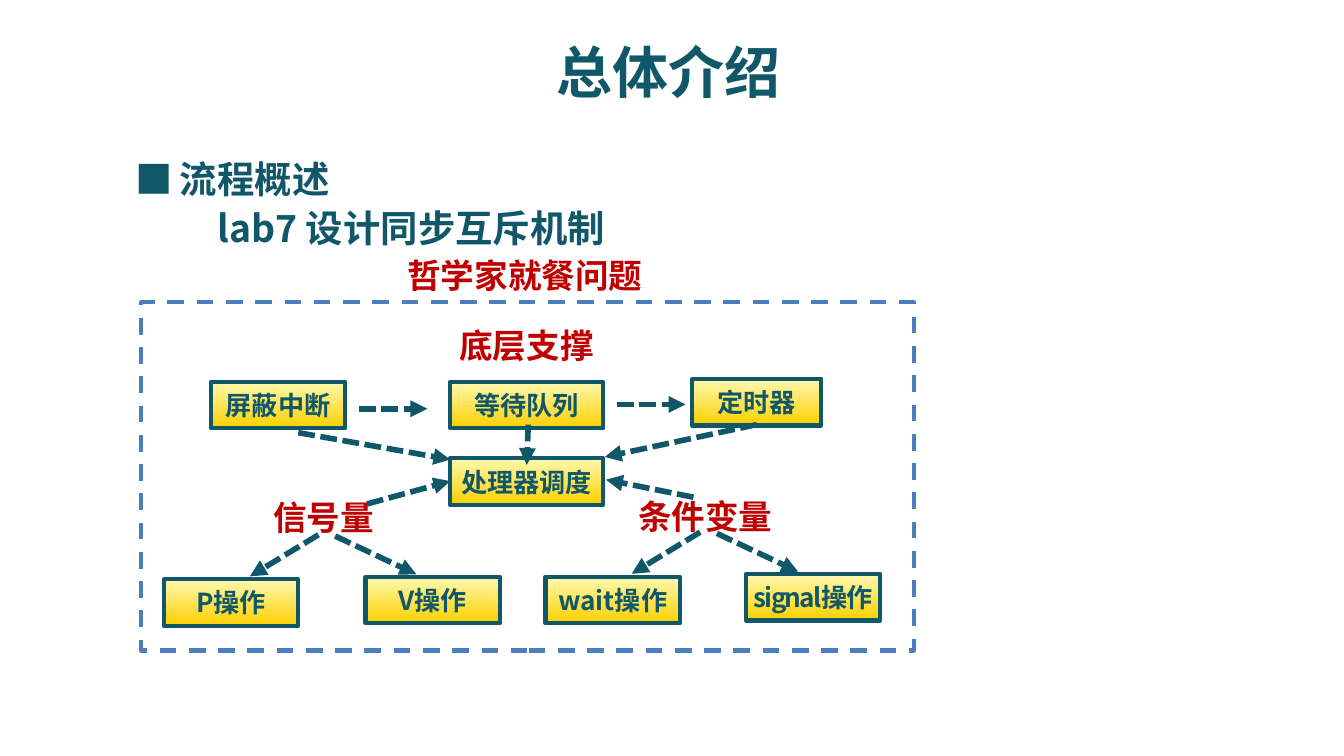
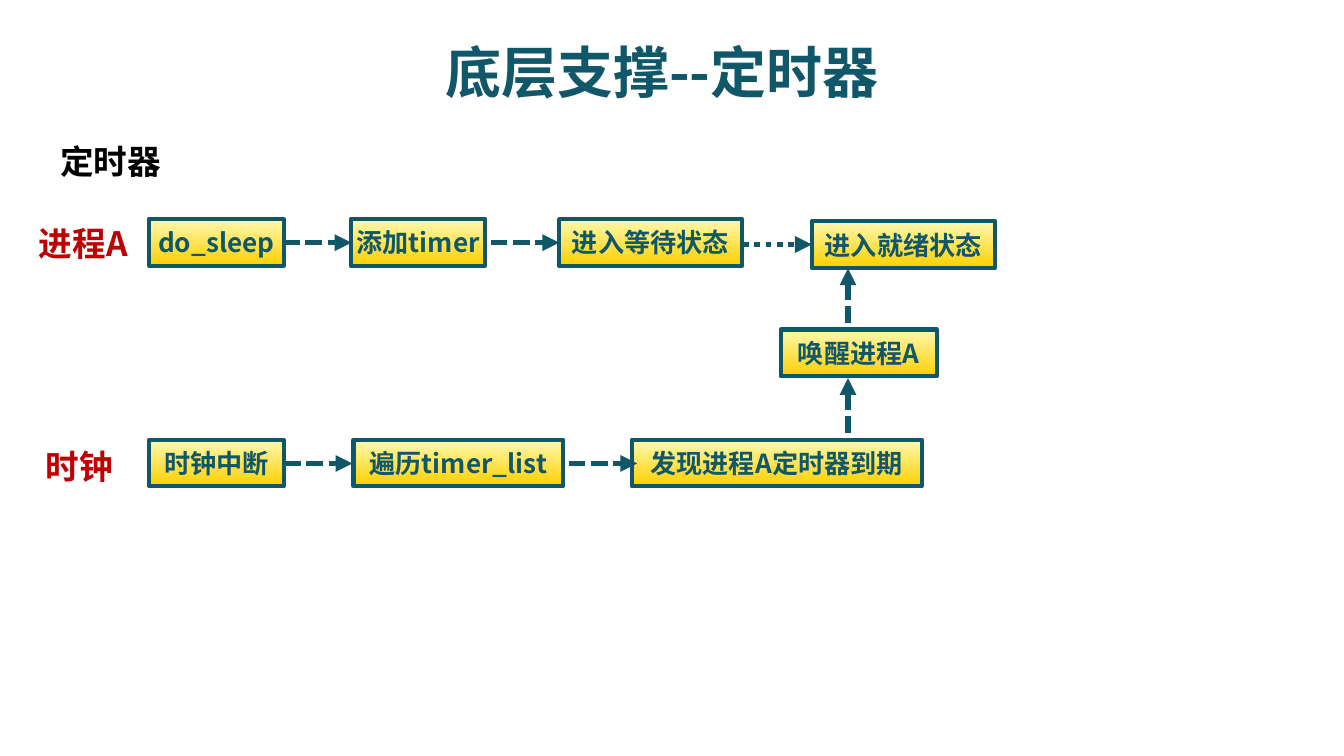
"""Builds two slides on process synchronisation and timers."""
from lxml.etree import SubElement
from pptx import Presentation
from pptx.dml.color import RGBColor
from pptx.enum.dml import MSO_LINE
from pptx.enum.shapes import MSO_CONNECTOR, MSO_SHAPE
from pptx.enum.text import MSO_ANCHOR, MSO_AUTO_SIZE, PP_ALIGN
from pptx.oxml.ns import qn
from pptx.util import Pt

TEAL = RGBColor(0x11, 0x57, 0x6A)
RED = RGBColor(0xC0, 0x00, 0x00)
BLACK = RGBColor(0x00, 0x00, 0x00)
BLUE = RGBColor(0x4B, 0x7E, 0xBC)
PALE = RGBColor(0xFF, 0xF9, 0xB1)
GOLD = RGBColor(0xFD, 0xD0, 0x00)
SANS = "Noto Sans CJK SC"
SANS_JP = "Noto Sans CJK JP"


class Deck:
    def __init__(self, wide, high):
        self.prs = Presentation()
        self.prs.slide_width, self.prs.slide_height = Pt(wide), Pt(high)

    def start(self, title):
        self.slide = self.prs.slides.add_slide(self.prs.slide_layouts[5])
        self.shapes = self.slide.shapes
        head = self.shapes.title
        head.left, head.top, head.width, head.height = Pt(34), Pt(18), Pt(648), Pt(40)
        self.style(head.text_frame, title, 30)
        head.text_frame.vertical_anchor = MSO_ANCHOR.MIDDLE

    def style(self, frame, text, size, color=TEAL, font=SANS,
              align=PP_ALIGN.CENTER, wrap=True, grow=False):
        frame.text = text
        frame.word_wrap = wrap
        frame.auto_size = MSO_AUTO_SIZE.SHAPE_TO_FIT_TEXT if grow else MSO_AUTO_SIZE.NONE
        para = frame.paragraphs[0]
        para.alignment = align
        run = para.runs[0]
        run.font.size, run.font.bold, run.font.name = Pt(size), True, font
        run.font.color.rgb = color
        SubElement(run.font._element, qn("a:ea"), typeface=font)
        return run

    def text(self, text, x, y, w, h, size=20, **style):
        area = self.shapes.add_textbox(Pt(x), Pt(y), Pt(w), Pt(h))
        style.setdefault("align", PP_ALIGN.LEFT)
        self.style(area.text_frame, text, size, **style)

    def label(self, text, x, y, w):
        self.text(text, x, y, w, 29, 18, color=RED, align=PP_ALIGN.CENTER, grow=True)

    def rect(self, x, y, w, h, color):
        shape = self.shapes.add_shape(MSO_SHAPE.RECTANGLE, Pt(x), Pt(y), Pt(w), Pt(h))
        shape.shadow.inherit = False
        shape.line.color.rgb, shape.line.width = color, Pt(2.25)
        return shape

    def box(self, text, x, y, w=72, tight=0):
        shape = self.rect(x, y, w, 25, TEAL)
        shape.fill.gradient()
        shape.fill.gradient_angle = 270
        for stop, color in zip(shape.fill.gradient_stops, (PALE, GOLD)):
            stop.color.rgb = color
        run = self.style(shape.text_frame, text, 14, wrap=False)
        shape.text_frame.vertical_anchor = MSO_ANCHOR.MIDDLE
        if tight:
            run.font._element.set("spc", str(-100 * tight))

    def frame(self, x, y, w, h):
        shape = self.rect(x, y, w, h, BLUE)
        shape.fill.background()
        shape.line.dash_style = MSO_LINE.DASH

    def arrow(self, x1, y1, x2, y2, dash=MSO_LINE.SQUARE_DOT):
        link = self.shapes.add_connector(
            MSO_CONNECTOR.STRAIGHT, Pt(x1), Pt(y1), Pt(x2), Pt(y2))
        link.line.color.rgb, link.line.width = TEAL, Pt(3)
        link.line.dash_style = dash
        props = link._element.spPr
        SubElement(props.find(qn("a:ln")), qn("a:tailEnd"), type="triangle")
        SubElement(props, qn("a:effectLst"))


def intro(deck):
    deck.start("总体介绍")
    deck.text("流程概述", 89.3, 80, 118, 34)
    deck.text("■", 65.5, 80, 34, 32, font=SANS_JP, grow=True)
    deck.text("lab7 设计同步互斥机制", 109.4, 106.5, 295, 32)
    for text, x, y, w in (("屏蔽中断", 113, 204.5, 72), ("等待队列", 241.2, 204.5, 82),
                          ("定时器", 370.8, 203, 69), ("处理器调度", 241.2, 245.5, 82),
                          ("P操作", 87.8, 310.3, 72), ("V操作", 195.8, 309, 72),
                          ("wait操作", 292.3, 309, 72)):
        deck.box(text, x, y, w)
    deck.box("signal操作", 399.6, 307.5, tight=1)
    for text, x, y, w in (("哲学家就餐问题", 194.4, 133.2, 173.5),
                          ("底层支撑", 234, 170.6, 96),
                          ("信号量", 125.3, 262.8, 96), ("条件变量", 329.8, 262, 96)):
        deck.label(text, x, y, w)
    for x, y in ((192.2, 219), (330.5, 216.7)):
        deck.arrow(x, y, x + 36.7, y)
    for x, y in ((170.6, 286.5), (375.1, 285.1)):
        deck.arrow(x, y, x - 36.7, y + 22.3)
        deck.arrow(x + 9, y + 0.7, x + 52.5, y + 21.2)
    for ends in ((159.8, 231.8, 241.2, 246.2), (405.4, 227.5, 324, 244.8),
                 (283, 227.5, 282.2, 249.1), (196.6, 270, 241.2, 257.8),
                 (371.5, 266.4, 324.7, 257)):
        deck.arrow(*ends)
    deck.frame(75.6, 162, 414, 186.5)


def timer(deck):
    deck.start("底层支撑--定时器 ")
    deck.text("定时器", 25.2, 72, 69, 29, 18, color=BLACK, font=SANS_JP,
              wrap=False, grow=True)
    deck.label("进程A", 8.6, 116, 72)
    deck.label("时钟", 14.4, 235.5, 56)
    for text, x, y, w in (("do_sleep", 80, 117.4, 72), ("添加timer", 188, 117.4, 72),
                          ("进入等待状态", 299.5, 117.4, 98),
                          ("进入就绪状态", 435, 118.6, 98),
                          ("唤醒进程A", 418.3, 176.6, 83.5),
                          ("时钟中断", 80, 235.6, 72),
                          ("遍历timer_list", 189.4, 235.6, 112.3),
                          ("发现进程A定时器到期", 338.4, 235.6, 155.5)):
        deck.box(text, x, y, w)
    for x, y in ((151.5, 130), (262.8, 130), (152, 248.3), (304.6, 248.3)):
        deck.arrow(x, y, x + 36.8, y)
    deck.arrow(398.2, 131, 434.9, 131, MSO_LINE.ROUND_DOT)
    for y in (231.8, 173):
        deck.arrow(454.3, y, 454.3, y - 29.2)


deck = Deck(720, 405)
intro(deck)
timer(deck)
deck.prs.save("out.pptx")
